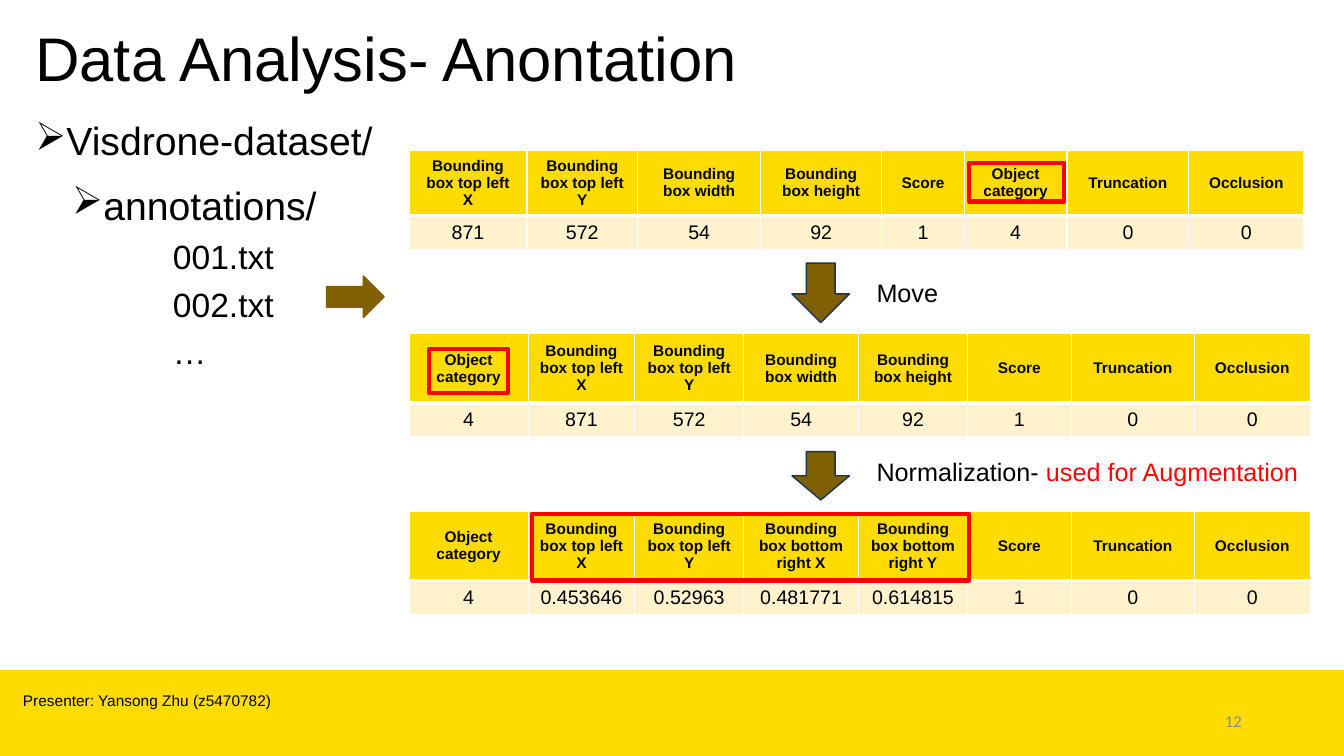
import pptx
import pptx.util
import pptx.dml.color
import pptx.enum.shapes
import pptx.enum.text
import pptx.oxml
from dataclasses import dataclass
from pptx.oxml.ns import nsdecls

Cm, Pt = pptx.util.Cm, pptx.util.Pt
Shape = pptx.enum.shapes.MSO_SHAPE
Align = pptx.enum.text.PP_ALIGN
Anchor = pptx.enum.text.MSO_ANCHOR


@dataclass(frozen=True)
class Theme:
    font: str = "Arial"
    number_font: str = "Calibri"
    ink: str = "000000"
    paper: str = "FFFFFF"
    yellow: str = "FFDC00"
    cream: str = "FFF2CC"
    red: str = "FF0000"
    grey: str = "8C8C8C"
    side_arrow: str = "806000"
    down_arrow: str = "7F6000"
    navy: str = "1E3256"
    title: int = 44
    folder: int = 28
    file: int = 24
    step: int = 18
    value: int = 14
    number: int = 12
    small: int = 11


theme = Theme()

# Content; all places and sizes are in centimetres
TITLE = "Data Analysis- Anontation"
DATASET = "Visdrone-dataset/"
FOLDER = "annotations/"
FILES = ["001.txt", "002.txt", "…"]
PRESENTER = "Presenter: Yansong Zhu (z5470782)"
PAGE = "12"

TOP_LEFT = ["Bounding box top left X", "Bounding box top left Y"]
SIZE = ["Bounding box width", "Bounding box height"]
BOTTOM_RIGHT = ["Bounding box bottom right X", "Bounding box bottom right Y"]
CATEGORY = ["Object category"]
FLAGS = ["Truncation", "Occlusion"]

MOVED_WIDTHS = [3.0, 2.69, 2.74, 2.9, 2.74, 2.62, 3.1, 2.92]
TABLE_LEFT = 10.31
VALUE_HEIGHT = 0.82
TABLES = [  # top, header height, column widths, headers, values
    (3.78, 1.55, [2.97, 2.79, 3.1, 3.05, 2.08, 2.59, 3.07, 2.9],
     TOP_LEFT + SIZE + ["Score"] + CATEGORY + FLAGS,
     ["871", "572", "54", "92", "1", "4", "0", "0"]),
    (8.41, 1.75, MOVED_WIDTHS,
     CATEGORY + TOP_LEFT + SIZE + ["Score"] + FLAGS,
     ["4", "871", "572", "54", "92", "1", "0", "0"]),
    (12.88, 1.75, MOVED_WIDTHS,
     CATEGORY + TOP_LEFT + BOTTOM_RIGHT + ["Score"] + FLAGS,
     ["4", "0.453646", "0.52963", "0.481771", "0.614815", "1", "0", "0"]),
]
STEPS = [  # arrow top, arrow height, label top, label width, coloured runs
    (6.63, 1.5, 6.86, 3.07, [("Move", theme.ink)]),
    (11.38, 1.22, 11.38, 11.76,
     [("Normalization-", theme.ink), (" used for Augmentation", theme.red)]),
]
HIGHLIGHTS = [(24.43, 4.11, 2.39, 0.97), (10.82, 8.79, 1.98, 1.12),
              (13.41, 12.95, 11.02, 1.68)]

deck = pptx.Presentation()
deck.slide_width, deck.slide_height = Cm(33.87), Cm(19.05)
slide = deck.slides.add_slide(deck.slide_layouts[6])


def rgb(value):
    return pptx.dml.color.RGBColor.from_string(value)


def style(paragraph, size, color=theme.ink, font=theme.font, bold=False):
    paragraph.font.name = font
    paragraph.font.size = Pt(size)
    paragraph.font.bold = bold
    paragraph.font.color.rgb = rgb(color)


def indent(paragraph, margin, bullet=None):
    properties = paragraph._p.get_or_add_pPr()
    properties.set("marL", str(Cm(margin)))
    properties.set("indent", str(-Cm(margin) if bullet else 0))
    if bullet:
        properties.append(pptx.oxml.parse_xml(
            f'<a:buChar {nsdecls("a")} char="{bullet}"/>'))


def add_text(box, text="", anchor=Anchor.TOP):
    frame = slide.shapes.add_textbox(*map(Cm, box)).text_frame
    frame.word_wrap = True
    frame.vertical_anchor = anchor
    frame.paragraphs[0].text = text
    return frame


def add_shape(kind, box, fill=None, line=None, width=1):
    shape = slide.shapes.add_shape(kind, *map(Cm, box))
    shape.shadow.inherit = False
    if fill:
        shape.fill.solid()
        shape.fill.fore_color.rgb = rgb(fill)
    else:
        shape.fill.background()
    if line:
        shape.line.color.rgb = rgb(line)
        shape.line.width = Pt(width)
    else:
        shape.line.fill.background()


def add_borders(cell, widths):
    properties = cell._tc.get_or_add_tcPr()
    for side, width in widths.items():
        properties.append(pptx.oxml.parse_xml(
            f'<a:ln{side} {nsdecls("a")} w="{Pt(width)}"><a:solidFill>'
            f'<a:srgbClr val="{theme.paper}"/></a:solidFill></a:ln{side}>'))


def add_annotation_table(top, header_height, widths, headers, values):
    heights = [header_height, VALUE_HEIGHT]
    table = slide.shapes.add_table(
        2, len(widths), Cm(TABLE_LEFT), Cm(top),
        Cm(sum(widths)), Cm(sum(heights))).table
    for column, width in zip(table.columns, widths):
        column.width = Cm(width)
    looks = [(headers, theme.yellow, theme.small, True, 1, 3),
             (values, theme.cream, theme.value, False, 3, 1)]
    for r, (texts, fill, size, bold, above, below) in enumerate(looks):
        table.rows[r].height = Cm(heights[r])
        for c, text in enumerate(texts):
            cell = table.cell(r, c)
            add_borders(cell, {"L": 1, "R": 1, "T": above, "B": below})
            cell.fill.solid()
            cell.fill.fore_color.rgb = rgb(fill)
            cell.vertical_anchor = Anchor.MIDDLE
            paragraph = cell.text_frame.paragraphs[0]
            paragraph.text = text
            paragraph.alignment = Align.CENTER
            style(paragraph, size, bold=bold)


# Footer band and title
add_shape(Shape.RECTANGLE, (0, 16.89, 33.87, 2.16), theme.yellow)
title = add_text((0.64, 0.38, 32.31, 2.34), TITLE, Anchor.MIDDLE).paragraphs[0]
title.line_spacing = 0.9
style(title, theme.title)

# Folder tree
dataset = add_text((0.64, 2.95, 13.06, 1.4), DATASET).paragraphs[0]
folder_frame = add_text((1.57, 4.57, 6.76, 4.85), FOLDER)
for folder in (dataset, folder_frame.paragraphs[0]):
    indent(folder, 0.64, "➢")
    folder.line_spacing = 0.9
    style(folder, theme.folder)
for name in FILES:
    file = folder_frame.add_paragraph()
    file.text = name
    indent(file, 2.54)
    file.line_spacing = Pt(34)
    style(file, theme.file)
add_shape(Shape.RIGHT_ARROW, (8.23, 6.96, 1.45, 1.04),
          theme.side_arrow, theme.side_arrow)

# Annotation tables and the steps between them
for annotation in TABLES:
    add_annotation_table(*annotation)
for arrow_top, arrow_height, label_top, label_width, runs in STEPS:
    add_shape(Shape.DOWN_ARROW, (19.96, arrow_top, 1.45, arrow_height),
              theme.down_arrow, theme.navy)
    label = add_text((21.84, label_top, label_width, 1.02)).paragraphs[0]
    style(label, theme.step)
    for text, color in runs:
        run = label.add_run()
        run.text = text
        run.font.color.rgb = rgb(color)
for box in HIGHLIGHTS:
    add_shape(Shape.RECTANGLE, box, line=theme.red, width=3)

# Footer text
presenter = add_text((0.33, 17.3, 20.35, 0.74), PRESENTER).paragraphs[0]
style(presenter, theme.small)
page = add_text((23.93, 17.65, 7.62, 1.02), PAGE, Anchor.MIDDLE).paragraphs[0]
page.alignment = Align.RIGHT
style(page, theme.number, theme.grey, theme.number_font)

deck.save("out.pptx")
